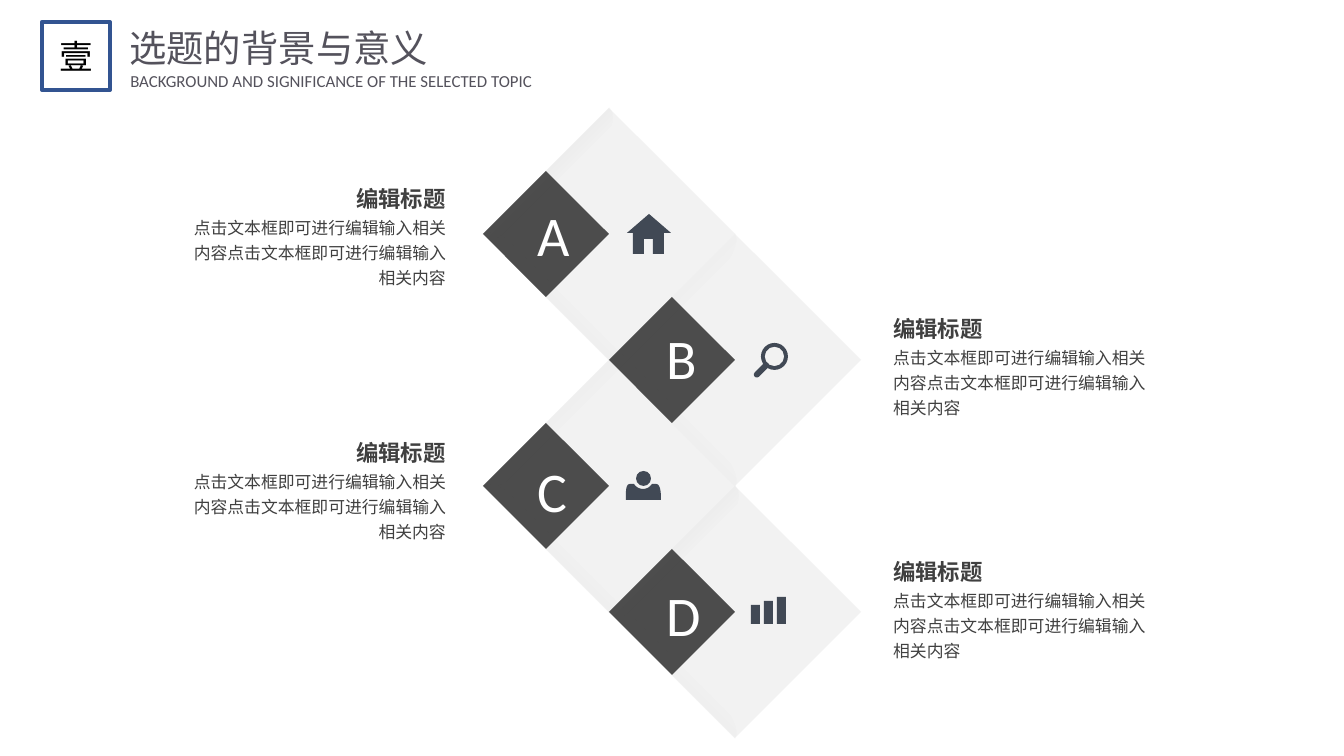
from math import cos, radians, sin, sqrt

from pptx import Presentation
from pptx.dml.color import RGBColor
from pptx.enum.shapes import MSO_SHAPE as SHAPE
from pptx.enum.text import MSO_ANCHOR as ANCHOR, PP_ALIGN as ALIGN
from pptx.oxml import parse_xml
from pptx.oxml.ns import nsdecls, qn
from pptx.util import Emu, Pt

PX = 914400 / 134.4
HALF = 126  # half the diagonal of a large diamond
CJK, LATIN = "Noto Sans CJK SC", "Calibri"
PALE, DARK, ICON = "F2F2F2", "4C4C4C", "414955"
BODY = "点击文本框即可进行编辑输入相关内容点击文本框即可进行编辑输入相关内容"

FORMATS = {
    "letter": {"name": LATIN, "size": Pt(30), "color": "FFFFFF"},
    "heading": {"name": CJK, "size": Pt(12), "bold": True, "color": "404040"},
    "body": {"name": CJK, "size": Pt(9), "color": "404040"},
    "title": {"name": CJK, "size": Pt(20), "color": "54525C"},
    "subtitle": {"name": LATIN, "size": Pt(9), "color": "54525C"},
    "number": {"name": CJK, "size": Pt(18), "color": "000000"},
}


def px(n):
    return Emu(round(n * PX))


def rgb(value):
    return RGBColor.from_string(value)


def curve(p0, p1, p2, p3, steps=12):
    """Points along a cubic curve, without its first point."""
    points = []
    for i in range(1, steps + 1):
        t = i / steps
        u = 1 - t
        weights = (u ** 3, 3 * u * u * t, 3 * u * t * t, t ** 3)
        points.append(tuple(sum(w * p[axis] for w, p in zip(weights, (p0, p1, p2, p3)))
                            for axis in (0, 1)))
    return points


class Painter:
    def __init__(self, slide):
        self.s = slide

    def finish(self, sp, fill):
        sp.shadow.inherit = False
        sp.line.fill.background()
        if fill:
            sp.fill.solid()
            sp.fill.fore_color.rgb = rgb(fill)
        else:
            sp.fill.background()
        return sp

    def shape(self, kind, x, y, w, h, fill=None):
        sp = self.s.shapes.add_shape(kind, px(x), px(y), px(w), px(h))
        return self.finish(sp, fill)

    def outline(self, points, fill=None):
        pts = [(px(x), px(y)) for x, y in points]
        builder = self.s.shapes.build_freeform(*pts[0], scale=1.0)
        builder.add_line_segments(pts[1:], close=True)
        return self.finish(builder.convert_to_shape(), fill)

    def diamond(self, cx, cy, half, fill):
        self.outline([(cx - half, cy), (cx, cy + half), (cx + half, cy), (cx, cy - half)], fill)

    def shade(self, x, y, length, angle):
        """Soft shadow whose straight edge leaves (x, y) at the given angle."""
        depth = 31
        a = radians(angle)
        cx = x + cos(a) * length / 2 - sin(a) * depth / 2
        cy = y + sin(a) * length / 2 + cos(a) * depth / 2
        left, top = cx - length / 2, cy - depth / 2
        right_half = [(0.99, 6), (0.94, 20), (0.74, depth), (0.5, depth)]
        left_half = [(1 - f, d) for f, d in reversed(right_half)]
        points = [(left, top), (left + length, top)]
        for part in (right_half, left_half):
            knots = [(left + f * length, top + d) for f, d in part]
            points += [knots[0]] + curve(*knots)
        sp = self.outline(points)
        sp.rotation = angle % 360
        stops = "".join(
            f'<a:gs pos="{pos}"><a:srgbClr val="{color}"><a:alpha val="{alpha}"/></a:srgbClr></a:gs>'
            for pos, color, alpha in ((0, "808080", 0), (50000, "7F7F7F", 0), (100000, "808080", 23000)))
        grad = parse_xml(f'<a:gradFill {nsdecls("a")} rotWithShape="1"><a:gsLst>{stops}</a:gsLst>'
                         '<a:lin ang="16200000" scaled="0"/></a:gradFill>')
        props = sp._element.spPr
        props.replace(props.find(qn("a:noFill")), grad)

    def label(self, sp, text, style, align=ALIGN.LEFT, spacing=None):
        p = sp.text_frame.paragraphs[0]
        p.alignment = align
        p.line_spacing = spacing
        r = p.add_run()
        r.text = text
        for key, value in FORMATS[style].items():
            if key == "color":
                r.font.color.rgb = rgb(value)
            else:
                setattr(r.font, key, value)
        east = parse_xml(f'<a:ea {nsdecls("a")} typeface="{FORMATS[style]["name"]}"/>')
        r._r.get_or_add_rPr().append(east)

    def text(self, x, y, w, h, text, style, align=ALIGN.LEFT, spacing=None, wrap=True):
        box = self.s.shapes.add_textbox(px(x), px(y), px(w), px(h))
        box.text_frame.word_wrap = wrap
        self.label(box, text, style, align, spacing)


def draw_icons(painter):
    # Magnifier
    ring = painter.shape(SHAPE.DONUT, 761, 343, 27, 27, ICON)
    ring.adjustments[0] = 0.14
    handle = painter.shape(SHAPE.ROUNDED_RECTANGLE, 752, 367, 19, 6, ICON)
    handle.adjustments[0] = 0.5
    handle.rotation = 315
    # House
    painter.outline([(649, 214), (671, 233), (664, 233), (664, 254), (653, 254), (653, 239),
                     (644, 239), (644, 254), (633, 254), (633, 233), (627, 233)], ICON)
    # Bars
    for i, height in enumerate((19, 23, 27)):
        painter.shape(SHAPE.RECTANGLE, 751 + 13 * i, 624 - height, 9, height, ICON)
    # Person
    painter.shape(SHAPE.OVAL, 636, 471, 15, 15, ICON)
    painter.outline([(656, 484), (652, 484),
                     *curve((652, 484), (650, 487), (647, 489), (643, 489)),
                     *curve((643, 489), (639, 489), (636, 487), (634, 484)),
                     (630, 484),
                     *curve((630, 484), (625, 484), (626, 495), (626, 500)),
                     (661, 500),
                     *curve((661, 500), (661, 495), (661, 484), (656, 484))], ICON)


def main():
    prs = Presentation()
    prs.slide_width, prs.slide_height = px(1344), px(756)
    painter = Painter(prs.slides.add_slide(prs.slide_layouts[6]))

    centers = [(609 + HALF * (i % 2), 234 + HALF * i) for i in range(4)]
    for i in (2, 3, 0, 1):
        cx, cy = centers[i]
        painter.diamond(cx, cy, HALF, PALE)
        painter.diamond(cx - HALF // 2, cy, HALF // 2, DARK)

    draw_icons(painter)

    side = HALF * sqrt(2)
    for x, y, sides, angle in ((483, 234, 1, -45), (483, 486, 2, -45), (609, 612, 1, -45),
                               (735, 738, 2, 225), (735, 486, 2, 225)):
        painter.shade(x, y, side * sides, angle)

    for i, (letter, letter_y, body_y) in enumerate(
            (("A", 194, 206), ("B", 317, 336), ("C", 450, 460), ("D", 574, 579))):
        on_right = i % 2 == 1
        painter.text(653 if on_right else 524, letter_y, 38, 81, letter, "letter", ALIGN.CENTER)
        align = ALIGN.LEFT if on_right else ALIGN.RIGHT
        for style, text, y, w, h, spacing in (("body", BODY, body_y, 285, 90, 1.25),
                                              ("heading", "编辑标题", body_y - 27, 148, 40, None)):
            x = 880 if on_right else 459 - w
            painter.text(x, y, w, h, text, style, align, spacing)

    painter.text(116, 19, 392, 59, "选题的背景与意义", "title")
    painter.text(115, 64, 432, 34, "BACKGROUND AND SIGNIFICANCE OF THE SELECTED TOPIC",
                 "subtitle", ALIGN.CENTER, wrap=False)
    badge = painter.shape(SHAPE.RECTANGLE, 42, 22, 68, 68)
    badge.line.color.rgb = rgb("325491")
    badge.line.width = Pt(2.25)
    badge.text_frame.vertical_anchor = ANCHOR.MIDDLE
    painter.label(badge, "壹", "number", ALIGN.CENTER)

    prs.save("out.pptx")


if __name__ == "__main__":
    main()
